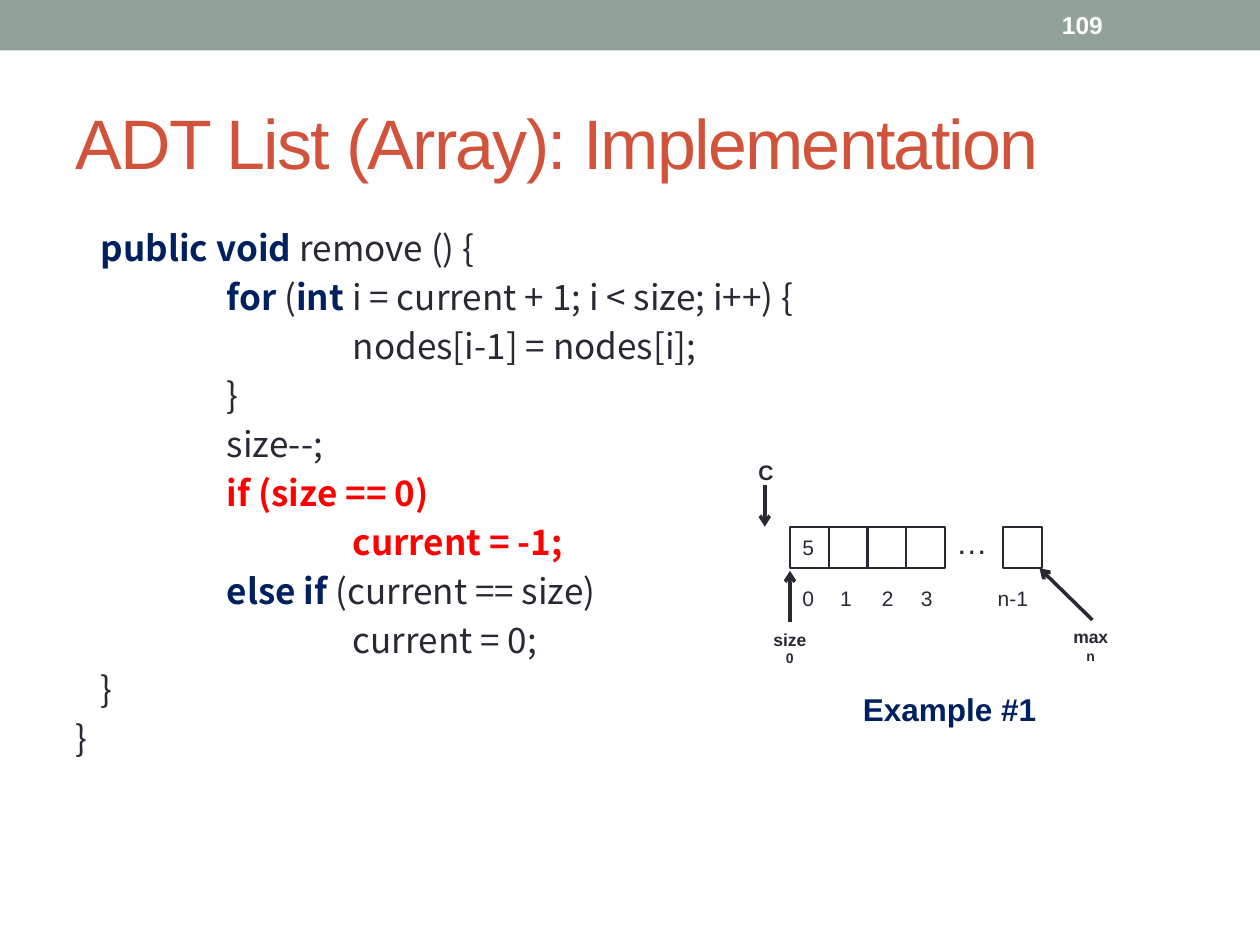
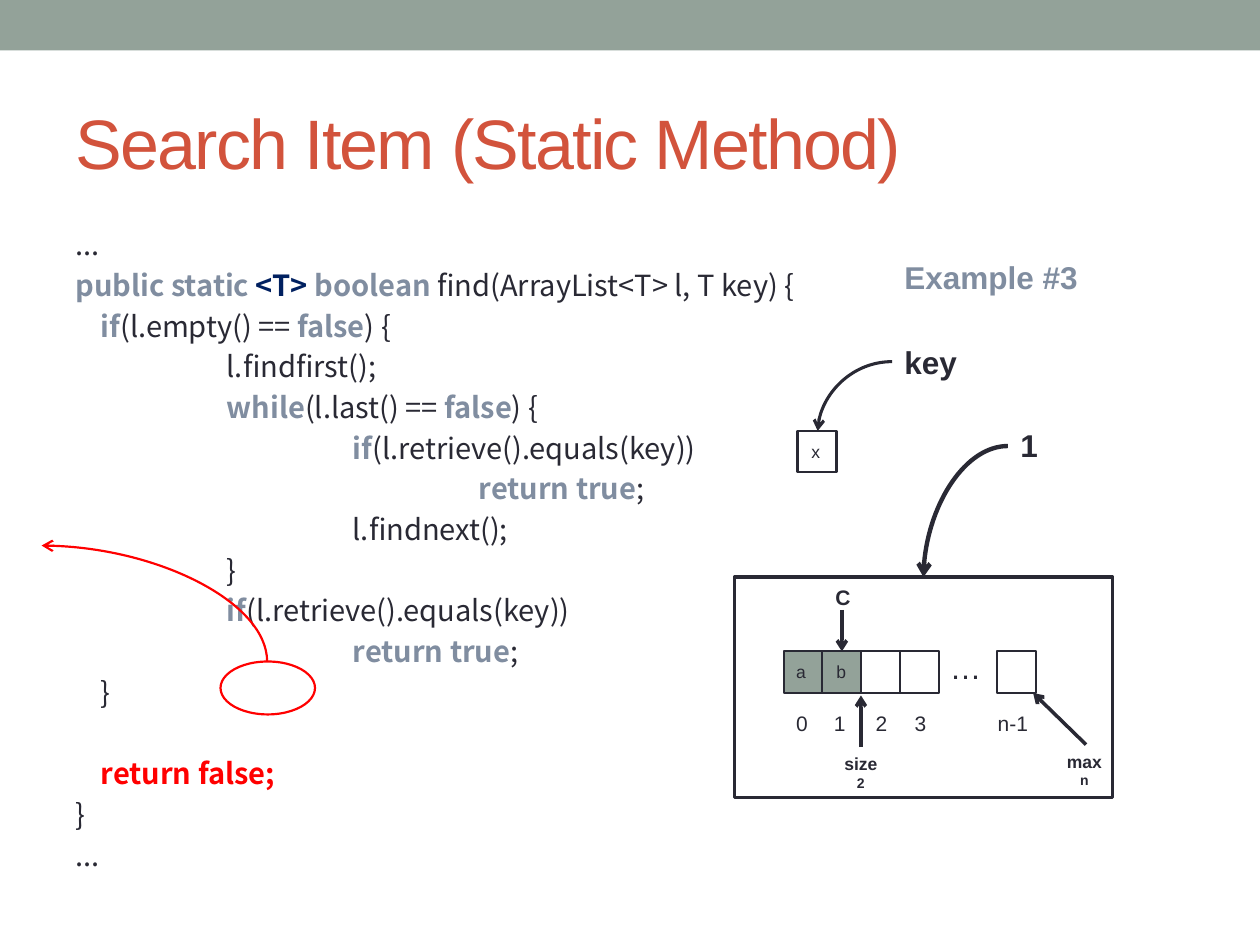
import pptx
import pptx.dml.color
import pptx.enum.shapes
import pptx.enum.text
import pptx.oxml
import pptx.oxml.ns
import pptx.util
from pptx.util import Inches

RGBColor = pptx.dml.color.RGBColor
Shape = pptx.enum.shapes.MSO_SHAPE
Connector = pptx.enum.shapes.MSO_CONNECTOR
Align = pptx.enum.text.PP_ALIGN
Anchor = pptx.enum.text.MSO_ANCHOR
AutoSize = pptx.enum.text.MSO_AUTO_SIZE

# Colours and fonts
INK = RGBColor(0x29, 0x29, 0x34)
SAGE = RGBColor(0x93, 0xA2, 0x99)
RUST = RGBColor(0xD2, 0x53, 0x3C)
NAVY = RGBColor(0x00, 0x20, 0x60)
SLATE = RGBColor(0x80, 0x8D, 0xA0)
RED = RGBColor(0xFF, 0x00, 0x00)
WHITE = RGBColor(0xFF, 0xFF, 0xFF)
TEXT_FONT = "Arial"
CODE_FONT = "Noto Sans CJK SC"

# Array diagram measures, in inches
CELL_WIDTH, CELL_HEIGHT = 0.31, 0.33
CELL_PITCH = 0.92 / 3
INDEX_OFFSETS = (0, 0.3, 0.63, 0.94)

# Code listings: indent depth, then (text, keyword colour or None) runs
REMOVE_CODE = [
    (1, [("public void ", NAVY), ("remove () {", None)]),
    (2, [("for", NAVY), (" (", None), ("int ", NAVY),
         ("i = current + 1; i < size; i++) {", None)]),
    (3, [("nodes[i-1] = nodes[i];", None)]),
    (2, [("}", None)]),
    (2, [("size--;", None)]),
    (2, [("if (size == 0)", RED)]),
    (3, [("current = -1;", RED)]),
    (2, [("else if ", NAVY), ("(current == size)", None)]),
    (3, [("current = 0;", None)]),
    (1, [("}", None)]),
    (0, [("}", None)]),
]
IF_MATCH = [("if", SLATE), ("(l.retrieve().equals(key))", None)]
RETURN_TRUE = [("return true", SLATE), (";", None)]
FIND_CODE = [
    (0, [("...", None)]),
    (0, [("public static ", SLATE), ("<T> ", NAVY), ("boolean ", SLATE),
         ("find(ArrayList<T> l, T key) {", None)]),
    (1, [("if", SLATE), ("(l.empty() == ", None), ("false", SLATE), (") {", None)]),
    (2, [("l.findfirst();", None)]),
    (2, [("while", SLATE), ("(l.last() == ", None), ("false", SLATE), (") {", None)]),
    (3, IF_MATCH),
    (4, RETURN_TRUE),
    (3, [("l.findnext();", None)]),
    (2, [("}", None)]),
    (2, IF_MATCH),
    (3, RETURN_TRUE),
    (1, [("}", None)]),
    (1, [("return false;", RED)]),
    (0, [("}", None)]),
    (0, [("...", None)]),
]


class Deck:
    """Holds the shared style and the slide being drawn."""

    def __init__(self):
        self.presentation = pptx.Presentation()
        self.presentation.slide_width = Inches(10)
        self.presentation.slide_height = Inches(7.5)
        self.slide = None

    def set_format(self, target, **values):
        for name, value in values.items():
            setattr(target, name, value)

    def add_run(self, paragraph, text, size, color=INK, bold=False, font=TEXT_FONT):
        run = paragraph.add_run()
        run.text = text
        self.set_format(run.font, name=font, size=pptx.util.Pt(size), bold=bold)
        run.font.color.rgb = color
        return run

    def place(self, shape, left, top, width, height):
        self.set_format(shape, left=Inches(left), top=Inches(top),
                        width=Inches(width), height=Inches(height))

    def new_slide(self, title):
        layout = self.presentation.slide_layouts[1]
        self.slide = self.presentation.slides.add_slide(layout)
        self.box(0, 0, 10, 0.4, fill=SAGE, line=None)
        heading = self.slide.shapes.title
        self.place(heading, 0.5, 0.58, 9, 1.08)
        self.set_format(heading.text_frame, auto_size=AutoSize.NONE,
                        vertical_anchor=Anchor.MIDDLE)
        paragraph = heading.text_frame.paragraphs[0]
        paragraph.alignment = Align.LEFT
        run = self.add_run(paragraph, title, 40, RUST)
        run.font._element.set("spc", "-100")

    def code(self, lines, size, gap_before=None):
        """Fill the body; gap_before is the line that follows an empty row."""
        body = self.slide.placeholders[1]
        self.place(body, 0.5, 1.75, 9, 5.33)
        frame = body.text_frame
        frame.auto_size = AutoSize.NONE
        pitch, space = 1.2 * size, 0.2 * size
        for number, (depth, runs) in enumerate(lines):
            paragraph = frame.add_paragraph() if number else frame.paragraphs[0]
            before = pitch + 2 * space if number == gap_before else space
            self.set_format(paragraph, line_spacing=pptx.util.Pt(pitch),
                            space_before=pptx.util.Pt(before))
            properties = paragraph._p.get_or_add_pPr()
            indent = Inches(depth - 0.8) if depth else 0
            properties.set("marL", str(indent))
            properties.set("indent", "0")
            pptx.oxml.ns.qn("a:buNone")
            properties.append(pptx.oxml.parse_xml(
                "<a:buNone %s/>" % pptx.oxml.ns.nsdecls("a")))
            for text, keyword in runs:
                self.add_run(paragraph, text, size, keyword or INK,
                             keyword is not None, CODE_FONT)

    def box(self, left, top, width, height, fill=None, line=INK, weight=1.25,
            kind=Shape.RECTANGLE):
        shape = self.slide.shapes.add_shape(
            kind, Inches(left), Inches(top), Inches(width), Inches(height))
        shape.shadow.inherit = False
        if fill is None:
            shape.fill.background()
        else:
            shape.fill.solid()
            shape.fill.fore_color.rgb = fill
        if line is None:
            shape.line.fill.background()
        else:
            shape.line.color.rgb = line
            shape.line.width = pptx.util.Pt(weight)
        return shape

    def cell(self, left, top, fill=None):
        return self.box(left, top, CELL_WIDTH, CELL_HEIGHT, fill)

    def label(self, text, left, top, width, height=0.3, size=12, color=INK,
              bold=False, below=None):
        """Write a label, with an optional small centred value below it."""
        frame = self.slide.shapes.add_textbox(
            Inches(left), Inches(top), Inches(width), Inches(height)).text_frame
        self.set_format(frame, word_wrap=False, auto_size=AutoSize.SHAPE_TO_FIT_TEXT)
        self.add_run(frame.paragraphs[0], text, size, color, bold)
        if below is not None:
            paragraph = frame.add_paragraph()
            paragraph.alignment = Align.CENTER
            self.add_run(paragraph, below, 8, color, bold)
        return frame

    def arrow(self, start, end, weight=2.0, color=INK, curved=False, tip="tailEnd"):
        """Draw an arrow; a curved one leaves sideways and arrives vertically."""
        kind = Connector.CURVE if curved else Connector.STRAIGHT
        line = self.slide.shapes.add_connector(kind, *map(Inches, start + end))
        line.line.color.rgb = color
        line.line.width = pptx.util.Pt(weight)
        properties = line._element.spPr
        if curved:
            properties.prstGeom.set("prst", "curvedConnector2")
        namespace = pptx.oxml.ns.nsdecls("a")
        line.line._get_or_add_ln().append(
            pptx.oxml.parse_xml('<a:%s %s type="arrow"/>' % (tip, namespace)))
        properties.append(pptx.oxml.parse_xml("<a:effectLst %s/>" % namespace))
        return line

    def array(self, left, top, values, size, current, value_size, value_top,
              last_index_left, shaded=0):
        """Draw an array with its indexes, current, size and max markers."""
        # Cells
        cells = [self.cell(left + i * CELL_PITCH, top, SAGE if i < shaded else None)
                 for i in range(4)]
        self.cell(left + 1.69, top)
        self.label("…", left + 1.22, top - 0.08, 0.45, 0.4, 18)
        for i, value in enumerate(values):
            self.label(value, left + 0.32 * i, top + value_top, 0.29, 0.27, value_size)
        # Indexes
        for i, offset in enumerate(INDEX_OFFSETS):
            self.label(str(i), left + offset, top + 0.42, 0.31)
        self.label("n-1", last_index_left, top + 0.42, 0.53)
        # Current marker
        current_x = left - 0.2
        if current >= 0:
            current_x = left + current * CELL_PITCH + CELL_WIDTH / 2
        self.label("C", current_x - 0.15, top - 0.58, 0.32, bold=True)
        current_arrow = self.arrow((current_x, top - 0.33), (current_x, top))
        if current >= 0:
            current_arrow.end_connect(cells[current], 0)
        # Size and max markers
        size_x = left + size * CELL_PITCH
        self.arrow((size_x, top + 0.76), (size_x, top + 0.35))
        self.label("size", size_x - 0.23, top + 0.76, 0.47, 0.4, 10,
                   bold=True, below=str(size))
        self.arrow((left + 2.4, top + 0.74), (left + 1.98, top + 0.33))
        self.label("max", left + 2.15, top + 0.74, 0.5, 0.4, 10, bold=True, below="n")


def draw_remove(deck):
    deck.new_slide("ADT List (Array): Implementation")
    page_number = deck.label("109", 8.33, 0.02, 1.17, 0.36, 14, WHITE, True)
    deck.set_format(page_number, auto_size=AutoSize.NONE, word_wrap=True,
                    vertical_anchor=Anchor.MIDDLE)
    deck.code(REMOVE_CODE, 20)
    deck.array(6.27, 4.18, ["5"], size=0, current=-1, value_size=12,
               value_top=0.01, last_index_left=7.82)
    deck.label("Example #1", 6.75, 5.43, 1.64, 0.4, 18, NAVY, True)


def draw_find(deck):
    deck.new_slide("Search Item (Static Method)")
    deck.code(FIND_CODE, 16.6, gap_before=12)
    deck.label("Example #3", 7.08, 2, 1.64, 0.4, 18, SLATE, True)
    # List "1" in its frame
    deck.array(6.22, 5.17, ["a", "b"], size=2, current=1, value_size=10,
               value_top=0.03, last_index_left=7.82, shaded=2)
    deck.box(5.83, 4.58, 3, 1.75, weight=2)
    deck.label("1", 8, 3.33, 0.36, 0.4, 18, bold=True)
    deck.arrow((8, 3.54), (7.33, 4.58), 2.5, curved=True)
    # Search key
    deck.cell(6.33, 3.42)
    deck.label("x", 6.34, 3.45, 0.29, 0.27, 10)
    deck.label("key", 7.08, 2.67, 0.62, 0.4, 18, bold=True)
    deck.arrow((7.08, 2.87), (6.49, 3.42), 1.75, curved=True)
    # Returned result
    deck.box(1.75, 5.25, 0.75, 0.42, line=RED, kind=Shape.OVAL)
    deck.arrow((0.33, 4.33), (2.12, 5.25), 1.25, RED, curved=True, tip="headEnd")


def main():
    deck = Deck()
    draw_remove(deck)
    draw_find(deck)
    deck.presentation.save("out.pptx")


if __name__ == "__main__":
    main()
